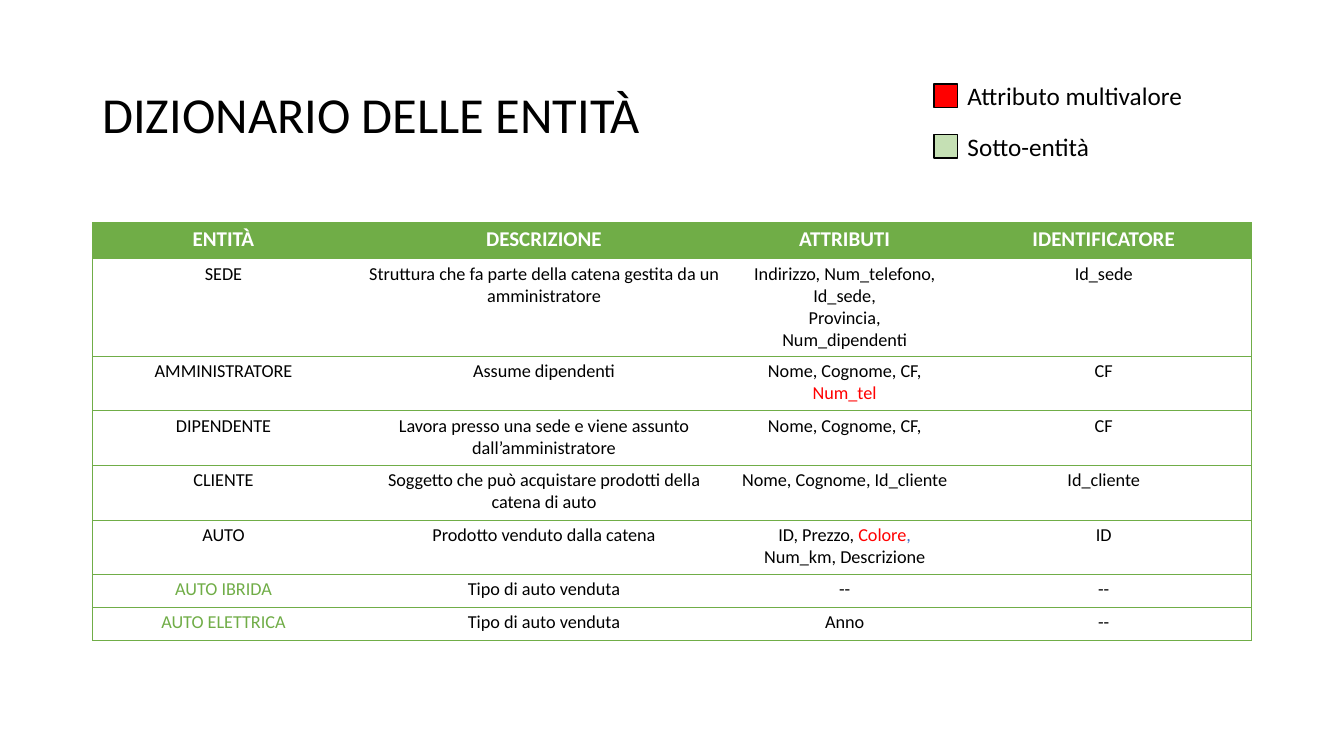
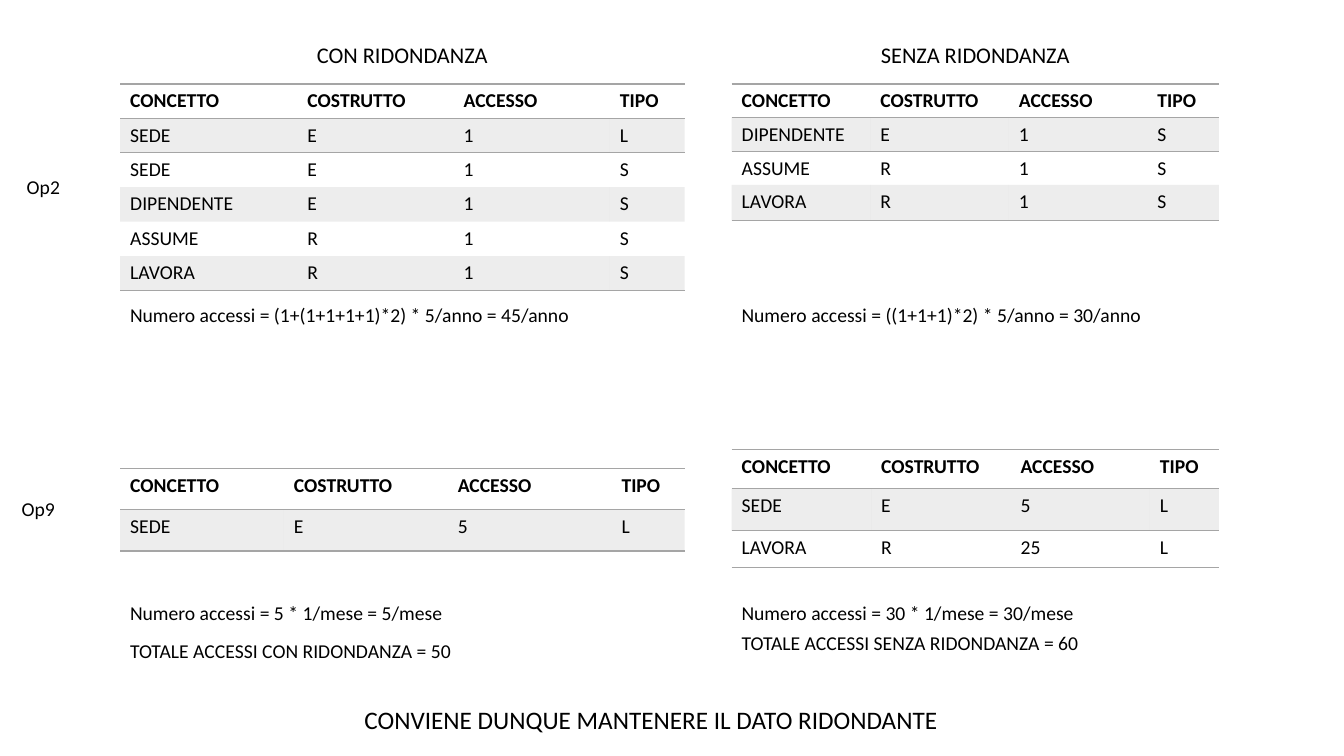
from lxml import etree
from pptx import Presentation
from pptx.dml.color import RGBColor
from pptx.enum.shapes import MSO_SHAPE
from pptx.enum.text import MSO_ANCHOR, PP_ALIGN
from pptx.oxml.ns import qn
from pptx.util import Emu, Inches, Pt

RECT = MSO_SHAPE.RECTANGLE
LEFT, MID = PP_ALIGN.LEFT, PP_ALIGN.CENTER
TOP, CENTRE = MSO_ANCHOR.TOP, MSO_ANCHOR.MIDDLE

WIDE, HIGH = Inches(13.33), Inches(7.5)
COLS, ROWS = 160, 90
FONT = "Calibri"
PLAIN = "{2D5ABB26-0587-4C30-8999-92F81FD0307C}"
HEX = {"ink": "000000", "white": "FFFFFF", "green": "70AD47", "pale": "C5E0B4",
       "red": "FF0000", "blue": "4472C4", "grey": "A5A5A5"}

FRAMED = {"size": 13, "head": 15, "align": MID, "pad": (0.07, 0.04),
          "line": "green", "width": 0.5, "boxed": True,
          "top": ("green", "white"), "band": None}
RULED = {"size": 14, "head": 14, "align": LEFT, "pad": (0.1, 0.05),
         "line": "grey", "width": 1, "boxed": False,
         "top": (None, "ink"), "band": "grey"}


def rgb(name):
    return RGBColor.from_string(HEX[name])


def across(cols):
    return Emu(round(cols * WIDE / COLS))


def down(rows):
    return Emu(round(rows * HIGH / ROWS))


def place(x, y, w, h):
    return across(x), down(y), across(w), down(h)


class Deck:
    """Holds the show and the current slide; lengths are grid columns and rows."""

    def __init__(self):
        self.show = Presentation()
        self.show.slide_width, self.show.slide_height = WIDE, HIGH
        self.slide = None

    def page(self):
        self.slide = self.show.slides.add_slide(self.show.slide_layouts[6])

    def put(self, frame, text, size, align=LEFT, ink="ink", bold=False):
        """Text is a string, one paragraph a line, or a list of (string, colour) runs."""
        if isinstance(text, str):
            paras = [[(line, ink)] for line in text.split("\n")]
        else:
            paras = [text]
        for i, runs in enumerate(paras):
            para = frame.add_paragraph() if i else frame.paragraphs[0]
            para.alignment = align
            for words, tone in runs:
                run = para.add_run()
                run.text = words
                run.font.name, run.font.size = FONT, Pt(size)
                run.font.bold = bold
                run.font.color.rgb = rgb(tone)

    def text(self, x, y, w, h, words, size=14, align=LEFT, anchor=TOP):
        frame = self.slide.shapes.add_textbox(*place(x, y, w, h)).text_frame
        frame.word_wrap = True
        frame.vertical_anchor = anchor
        self.put(frame, words, size, align)
        return frame

    def title(self, words):
        frame = self.text(11, 4, 69, 19.8, words, 36, anchor=CENTRE)
        frame.paragraphs[0].line_spacing = 0.9

    def swatch(self, x, y, side, fill):
        box = self.slide.shapes.add_shape(RECT, *place(x, y, side, side))
        box.shadow.inherit = False
        box.fill.solid()
        box.fill.fore_color.rgb = rgb(fill)
        box.line.color.rgb = rgb("ink")
        box.line.width = Pt(1)

    def edge(self, cell, sides, tone, width):
        """Draw the sides named by L, R, T and B, in that order."""
        props = cell._tc.get_or_add_tcPr()
        for side in sides:
            line = etree.SubElement(props, qn("a:ln" + side), w=str(Pt(width)))
            fill = etree.SubElement(line, qn("a:solidFill"))
            etree.SubElement(fill, qn("a:srgbClr"), val=HEX[tone])

    def shade(self, cell, tone, alpha=100):
        if tone is None:
            cell.fill.background()
            return
        cell.fill.solid()
        cell.fill.fore_color.rgb = rgb(tone)
        tint = cell._tc.tcPr.find(qn("a:solidFill")).find(qn("a:srgbClr"))
        etree.SubElement(tint, qn("a:alpha"), val=str(alpha * 1000))

    def table(self, x, y, wide, high, data, style):
        area = place(x, y, sum(wide), sum(high))
        grid = self.slide.shapes.add_table(len(high), len(wide), *area).table
        grid.first_row = grid.horz_banding = False
        grid._tbl.tblPr.find(qn("a:tableStyleId")).text = PLAIN
        for col, w in zip(grid.columns, wide):
            col.width = across(w)
        for row, h in zip(grid.rows, high):
            row.height = down(h)
        for r, line in enumerate(data):
            for c, words in enumerate(line):
                self.cell(grid, r, c, words, style)

    def cell(self, grid, r, c, words, style):
        cell = grid.cell(r, c)
        end, last = len(grid.rows) - 1, len(grid.columns) - 1
        boxed, head = style["boxed"], r == 0
        sides = [side for side, drawn in (
            ("L", boxed and c == 0), ("R", boxed and c == last),
            ("T", boxed or r <= 1), ("B", boxed or r in (0, end))) if drawn]
        self.edge(cell, sides, style["line"], style["width"])
        fill, ink = style["top"] if head else (None, "ink")
        if r % 2 and style["band"]:
            self.shade(cell, style["band"], 20)
        else:
            self.shade(cell, fill)
        side, rise = style["pad"]
        cell.margin_left = cell.margin_right = Inches(side)
        cell.margin_top = cell.margin_bottom = Inches(rise)
        size = style["head"] if head else style["size"]
        self.put(cell.text_frame, words, size, style["align"], ink, head)


ENTITIES = [
    ("ENTITÀ", "DESCRIZIONE", "ATTRIBUTI", "IDENTIFICATORE"),
    ("SEDE", "Struttura che fa parte della catena gestita da un amministratore",
     "Indirizzo, Num_telefono, Id_sede,\nProvincia,\nNum_dipendenti", "Id_sede"),
    ("AMMINISTRATORE", "Assume dipendenti",
     [("Nome, Cognome, CF, ", "ink"), ("Num_tel", "red")], "CF"),
    ("DIPENDENTE", "Lavora presso una sede e viene assunto dall’amministratore",
     "Nome, Cognome, CF,", "CF"),
    ("CLIENTE", "Soggetto che può acquistare prodotti della catena di auto",
     "Nome, Cognome, Id_cliente", "Id_cliente"),
    ("AUTO", "Prodotto venduto dalla catena",
     [("ID, Prezzo, ", "ink"), ("Colore", "red"), (", ", "blue"),
      ("Num_km, Descrizione", "ink")], "ID"),
    ([("AUTO IBRIDA", "green")], "Tipo di auto venduta", "--", "--"),
    ([("AUTO ELETTRICA", "green")], "Tipo di auto venduta", "Anno", "--"),
]
LEGEND = [("red", "Attributo multivalore"), ("pale", "Sotto-entità")]

HEAD = ("CONCETTO", "COSTRUTTO", "ACCESSO", "TIPO")
SIDES = [
    {"x": 14.3, "w": 67.2, "name": "CON RIDONDANZA",
     "tables": [
         (10, (21.1, 18.6, 18.6, 8.9), [4.1] * 6,
          ["SEDE E 1 L", "SEDE E 1 S", "DIPENDENTE E 1 S", "ASSUME R 1 S",
           "LAVORA R 1 S"]),
         (55.8, (19.5, 19.5, 19.5, 8.7), [4.9] * 2, ["SEDE E 5 L"])],
     "notes": [(35.5, "Numero accessi = (1+(1+1+1+1)*2) * 5/anno = 45/anno"),
               (70.9, "Numero accessi = 5 * 1/mese = 5/mese"),
               (75.5, "TOTALE ACCESSI CON RIDONDANZA = 50")]},
    {"x": 87.1, "w": 58, "name": "SENZA RIDONDANZA",
     "tables": [
         (10, (16.5, 16.5, 16.5, 8.5), [4, 4, 4, 4.2],
          ["DIPENDENTE E 1 S", "ASSUME R 1 S", "LAVORA R 1 S"]),
         (53.5, (16.6, 16.6, 16.6, 8.2), [4.7, 5, 4.4],
          ["SEDE E 5 L", "LAVORA R 25 L"])],
     "notes": [(35.5, "Numero accessi = ((1+1+1)*2) * 5/anno = 30/anno"),
               (70.9, "Numero accessi = 30 * 1/mese = 30/mese"),
               (74.5, "TOTALE ACCESSI SENZA RIDONDANZA = 60")]},
]


def entities(deck):
    deck.page()
    deck.title("DIZIONARIO DELLE ENTITÀ")
    deck.table(11, 26.5, (31.2, 45.1, 26.5, 35.2),
               [4.3, 11.6] + [6.5] * 4 + [3.9] * 2, ENTITIES, FRAMED)
    for i, (tone, words) in enumerate(LEGEND):
        deck.swatch(111.2, 10 + 6 * i, 2.8, tone)
        deck.text(114, 9 + 6 * i, 35, 4.8, words, 18)


def costs(deck):
    deck.page()
    for side in SIDES:
        x, w = side["x"], side["w"]
        deck.text(x, 4.3, w, 4.4, side["name"], 16, MID)
        for y, wide, high, lines in side["tables"]:
            data = [HEAD] + [line.split() for line in lines]
            deck.table(x, y, wide, high, data, RULED)
        for y, words in side["notes"]:
            deck.text(x, y, w, 4.1, words)
    for x, y, words in ((2, 20.2, "Op2"), (1.4, 58.6, "Op9")):
        deck.text(x, y, 8, 4.1, words)
    deck.text(37.5, 83.3, 80, 4.8,
              "CONVIENE DUNQUE MANTENERE IL DATO RIDONDANTE", 18, MID)


def main():
    deck = Deck()
    entities(deck)
    costs(deck)
    deck.show.save("out.pptx")


if __name__ == "__main__":
    main()
